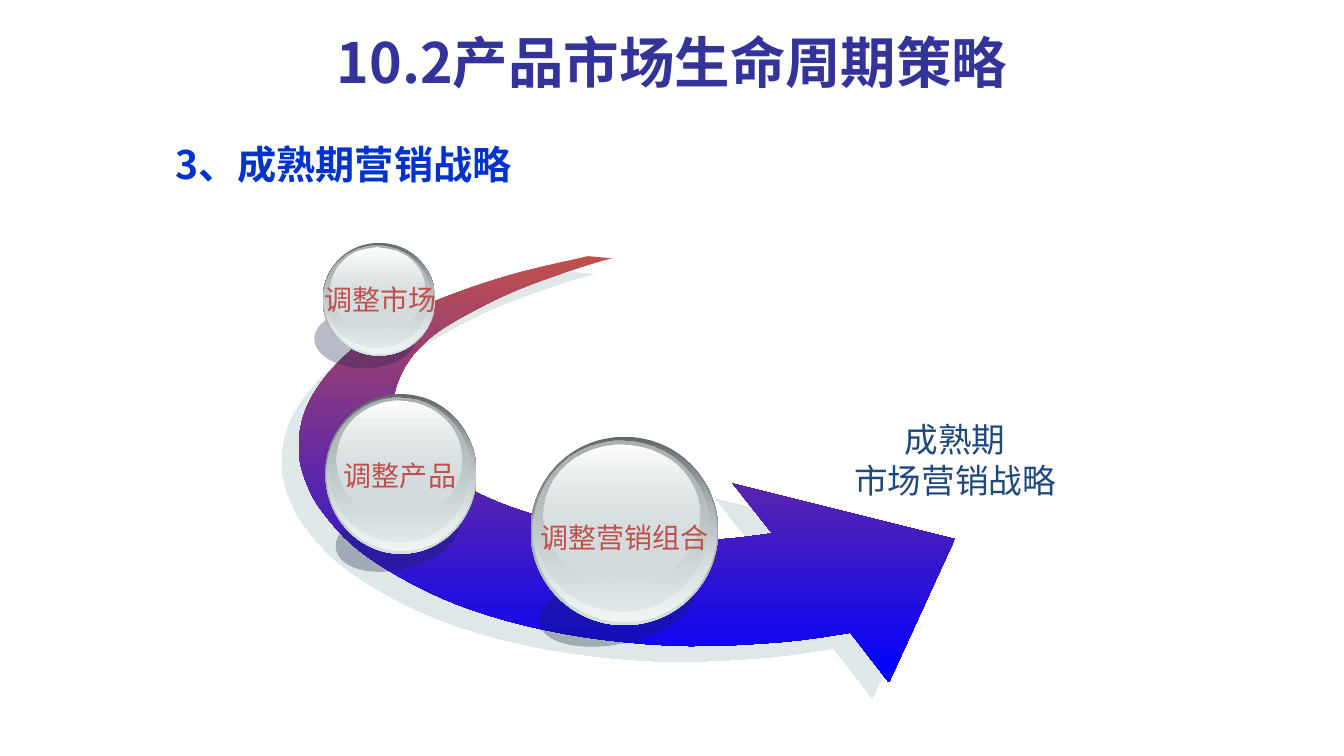
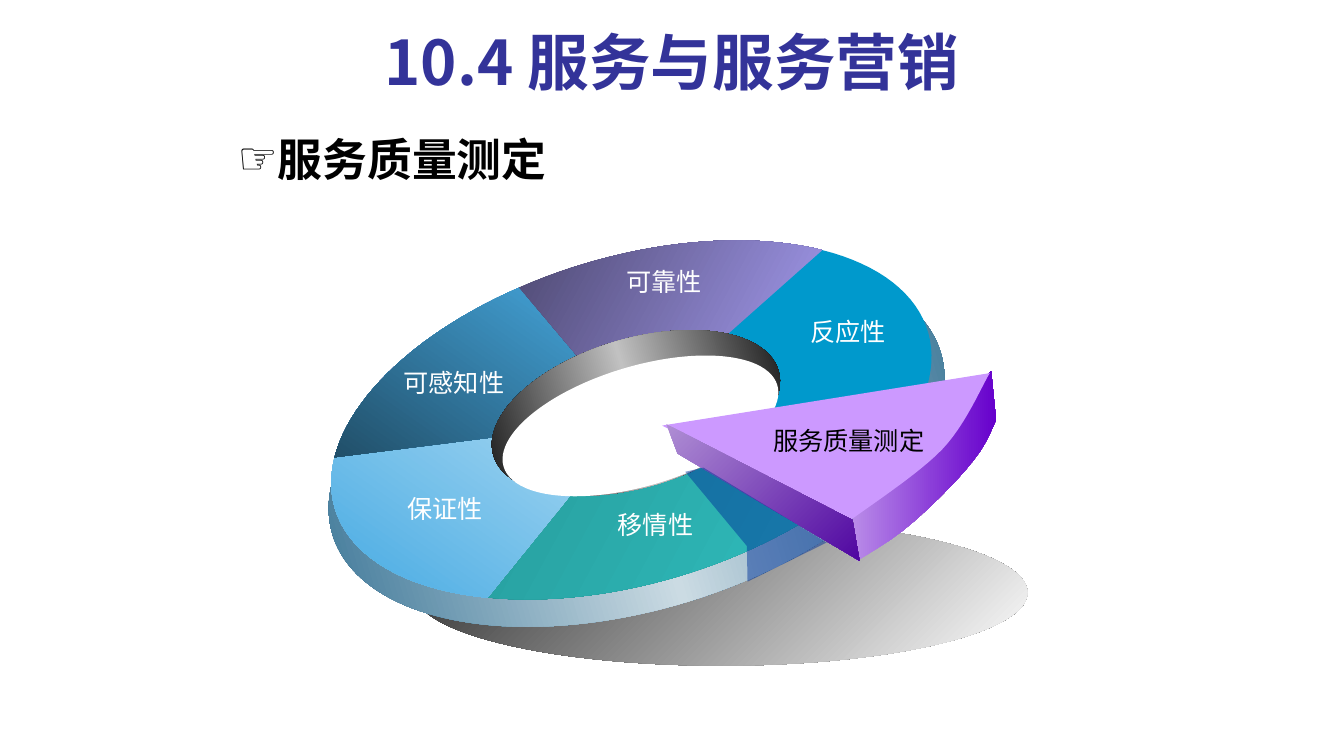
from dataclasses import dataclass
from math import cos, radians, sin

from lxml import etree
from pptx import Presentation
from pptx.dml.color import RGBColor
from pptx.enum.shapes import MSO_SHAPE
from pptx.enum.text import MSO_ANCHOR, PP_ALIGN
from pptx.oxml.ns import qn
from pptx.util import Pt

CENTER, LEFT = PP_ALIGN.CENTER, PP_ALIGN.LEFT
TOP, MIDDLE = MSO_ANCHOR.TOP, MSO_ANCHOR.MIDDLE
OVAL = MSO_SHAPE.OVAL


@dataclass(frozen=True)
class Theme:
    title: str = "333399"
    heading: str = "0033CC"
    black: str = "000000"
    white: str = "FFFFFF"
    red: str = "C0504D"
    blue: str = "0000FF"
    navy: str = "1F497D"
    shade: str = "0F2145"
    arrow_shadow: str = "C1D1D3"
    glass: str = "D6E1E2"
    glass_dark: str = "636869"
    glass_mid: str = "AAB2B3"
    glass_light: str = "F1F5F5"
    floor: str = "292929"
    steel: str = "29698D"
    steel_light: str = "CBDBE3"
    silver: str = "C1C1C1"
    teal: str = "208282"
    teal_light: str = "33CCCC"
    sky: str = "47ABE3"
    sky_light: str = "ABD9F2"
    sky_dark: str = "214F69"
    violet: str = "4F4A73"
    violet_light: str = "AAA0F8"
    cyan: str = "0099CC"
    lilac: str = "CC99FF"
    wall_light: str = "B98BE8"
    wall_dark: str = "6600CC"
    cut_light: str = "AF8ED4"
    cut_dark: str = "5007A1"
    shard: str = "003399"
    title_font: str = "Noto Sans CJK JP"
    body_font: str = "Noto Sans CJK SC"
    label_font: str = "Arial"
    title_size: float = 44
    long_title_size: float = 39.6
    bullet_size: float = 32
    heading_size: float = 28
    note_size: float = 24
    sphere_size: float = 20
    wedge_size: float = 18


T = Theme()


def child(parent, tag, **attrs):
    el = etree.SubElement(parent, qn(tag))
    for key, value in attrs.items():
        el.set(key, str(value))
    return el


def add_color(parent, color, alpha=100):
    clr = child(parent, "a:srgbClr", val=color)
    if alpha < 100:
        child(clr, "a:alpha", val=alpha * 1000)


def write(p, text, size, color, font, bold=False, ea=None, align=LEFT):
    """Add one formatted run; ea is the East Asian font if it differs."""
    p.alignment = align
    r = p.add_run()
    r.text = text
    r.font.size, r.font.bold, r.font.name = Pt(size), bold, font
    r.font.color.rgb = RGBColor.from_string(color)
    child(r.font._element, "a:ea", typeface=ea or font)


def spline(points, steps=4):
    """Points of a smooth (Catmull-Rom) curve through the given points."""
    ext = [points[0], *points, points[-1]]
    out = [points[0]]
    for a, b, c, d in zip(ext, ext[1:], ext[2:], ext[3:]):
        for i in range(1, steps + 1):
            t = i / steps
            out.append(tuple(
                (2 * q + (r - p) * t + (2 * p - 5 * q + 4 * r - s) * t ** 2
                 + (3 * q - p - 3 * r + s) * t ** 3) / 2
                for p, q, r, s in zip(a, b, c, d)))
    return out


def arc(center, radii, tilt, start, end, steps=24):
    """Points on a tilted ellipse, angles in clockwise degrees."""
    ct, st = cos(radians(tilt)), sin(radians(tilt))
    out = []
    for i in range(steps + 1):
        a = radians(start + (end - start) * i / steps)
        x, y = radii[0] * cos(a), radii[1] * sin(a)
        out.append((center[0] + x * ct - y * st, center[1] + x * st + y * ct))
    return out


class Deck:
    def __init__(self):
        self.prs = Presentation()
        self.prs.slide_width, self.prs.slide_height = Pt(960), Pt(540)
        self.slide = None

    def new_slide(self, title, size=T.title_size):
        self.slide = self.prs.slides.add_slide(self.prs.slide_layouts[1])
        sp = self.slide.shapes.title
        self.place(sp, (48, 9.4, 864, 68.4))
        sp.text_frame.vertical_anchor = MIDDLE
        write(sp.text_frame.paragraphs[0], title, size, T.title,
              T.title_font, bold=True, align=CENTER)

    def place(self, sp, box):
        sp.left, sp.top, sp.width, sp.height = map(Pt, box)

    def body(self, text, box, size, color, indent, bullet=None):
        sp = self.slide.placeholders[1]
        self.place(sp, box)
        tf = sp.text_frame
        tf.vertical_anchor = TOP
        p = tf.paragraphs[0]
        pPr = p._p.get_or_add_pPr()
        pPr.set("marL", str(Pt(indent)))
        pPr.set("indent", str(Pt(-indent if bullet else 0)))
        if bullet:
            child(pPr, "a:buChar", char=bullet)
            p.line_spacing = 0.9
        else:
            child(pPr, "a:buNone")
        p.space_before = Pt(0)
        write(p, text, size, color, T.body_font, bold=True)

    def paint(self, sp, fill, angle=90, alpha=100):
        """Fill with a colour, or with a gradient of (position, colour, alpha)."""
        sp.shadow.inherit = False
        sp.line.fill.background()
        if isinstance(fill, str):
            sp.fill.solid()
            sp.fill.fore_color.rgb = RGBColor.from_string(fill)
            if alpha < 100:
                clr = sp.element.spPr.find(qn("a:solidFill"))[0]
                child(clr, "a:alpha", val=alpha * 1000)
            return sp
        sp.fill.gradient()
        grad = sp.element.spPr.find(qn("a:gradFill"))
        grad.clear()
        grad.set("rotWithShape", "1")
        stops = child(grad, "a:gsLst")
        for pos, *color in fill:
            add_color(child(stops, "a:gs", pos=pos * 1000), *color)
        child(grad, "a:lin", ang=angle * 60000, scaled=0)
        return sp

    def ellipse(self, box, fill, rotation=0, **kw):
        sp = self.slide.shapes.add_shape(OVAL, *map(Pt, box))
        sp.rotation = rotation
        return self.paint(sp, fill, **kw)

    def outline(self, points, fill, **kw):
        pts = [(Pt(x), Pt(y)) for x, y in points]
        fb = self.slide.shapes.build_freeform(*pts[0], scale=1.0)
        fb.add_line_segments(pts[1:], close=True)
        return self.paint(fb.convert_to_shape(), fill, **kw)

    def cast_shadow(self, sp, color, distance, direction, alpha):
        effects = sp.element.spPr.find(qn("a:effectLst"))
        shadow = child(effects, "a:outerShdw", blurRad=0, dist=Pt(distance),
                       dir=direction * 60000, algn="ctr", rotWithShape=0)
        add_color(shadow, color, alpha)

    def label(self, lines, box, size, color, font=T.body_font, wrap=False):
        tf = self.slide.shapes.add_textbox(*map(Pt, box)).text_frame
        tf.word_wrap = wrap
        tf.vertical_anchor = TOP
        for i, line in enumerate(lines):
            p = tf.add_paragraph() if i else tf.paragraphs[0]
            write(p, line, size, color, font, ea=T.body_font, align=CENTER)

    def sphere(self, box, shadow, rotation, text, text_box):
        """Glass ball of four layers, each a fixed share of the outer box."""
        layers = [
            ((0, 0, 1, 1), [(0, T.glass_dark), (100, T.glass)]),
            ((0.01, 0.01, 0.98, 0.97), [(0, T.glass, 0), (100, T.glass_light)]),
            ((0.02, 0.02, 0.93, 0.91), [(0, T.glass_mid), (100, T.glass, 48)]),
            ((0.07, 0.04, 0.83, 0.74), [(0, T.white), (100, T.glass, 38)]),
        ]
        self.ellipse(shadow, T.shade, rotation, alpha=30)
        x, y, w, h = box
        for (dx, dy, sw, sh), fill in layers:
            self.ellipse((x + dx * w, y + dy * h, sw * w, sh * h), fill)
        self.label([text], text_box, T.sphere_size, T.red, T.label_font)


def maturity_slide(deck):
    deck.new_slide("10.2产品市场生命周期策略", T.long_title_size)
    deck.body("3、成熟期营销战略", (96, 96.5, 802, 388), T.heading_size,
              T.heading, indent=22)
    outer_edge = [
        (420, 183), (371.5, 194.5), (330.5, 207.5), (295, 222), (267, 237.5),
        (245.5, 255), (229.5, 273), (219, 291), (214, 309.5), (214, 328),
        (219.5, 346.5), (229.5, 364.5), (252.5, 390), (286, 412.5),
        (327, 432), (376, 447), (431, 457), (493, 461.5), (560, 458.5),
        (607.5, 452)]
    head = [(635, 487.5), (682, 385), (523.5, 345.5)]
    inner_edge = [
        (551.5, 381), (524, 384.5), (496, 386), (467, 384.5), (438.5, 381),
        (410.5, 376), (384, 368.5), (359, 360), (337, 350), (317.5, 338.5),
        (301.5, 326), (290, 312.5), (283, 298), (281.5, 283.5),
        (286, 268.5), (296, 252.5), (313, 237), (338.5, 222), (371, 206.5),
        (413, 191.5), (437, 184.5)]
    arrow = deck.outline(spline(outer_edge) + head + spline(inner_edge),
                         [(0, T.red), (100, T.blue)])
    deck.cast_shadow(arrow, T.arrow_shadow, 16.3, 137, 50)
    deck.label(["成熟期", "市场营销战略"], (567.5, 296, 229.5, 65.5),
               T.note_size, T.navy, T.label_font, wrap=True)
    spheres = [
        ((379, 312, 134, 134.5), (384, 407.5, 113, 52.5), -12,
         "调整营销组合", (379, 368, 134.5, 31)),
        ((232.5, 281.5, 108, 114), (239, 359, 89.5, 48), -13,
         "调整产品", (238.5, 324, 94.5, 31)),
        ((230.5, 173.5, 80.5, 80.5), (224.5, 221, 72, 42), 0,
         "调整市场", (224.5, 198, 94.5, 31)),
    ]
    for sphere in spheres:
        deck.sphere(*sphere)


def service_slide(deck):
    tilt = -16.6
    deck.new_slide("10.4 服务与服务营销")
    deck.body("服务质量测定", (162.5, 94.5, 630, 42.5), T.bullet_size,
              T.black, indent=27, bullet="☞")
    deck.ellipse((296, 371, 438, 104.5), [(0, T.floor), (100, T.white)],
                 angle=45)
    deck.ellipse((228, 198, 453.5, 237.5),
                 [(0, T.steel), (50, T.steel_light), (100, T.steel)],
                 tilt, angle=0)
    deck.ellipse((232.5, 186, 438, 230.5), [(0, T.teal), (100, T.teal_light)],
                 tilt, angle=45)
    hub = (451, 300)
    bounds = [127.6, 197.5, 257, 318.5, 381.5]
    wedges = [
        ([(0, T.sky_light), (100, T.sky)], 125),
        ([(0, T.sky), (100, T.sky_dark)], 125),
        ([(0, T.violet), (100, T.violet_light)], 28),
        (T.cyan, 0),
    ]
    for start, end, (fill, angle) in zip(bounds, bounds[1:], wedges):
        deck.outline([hub] + arc(hub, (221, 116.5), tilt, start, end), fill,
                     angle=angle)
    deck.ellipse((348, 242, 212.5, 106),
                 [(0, T.black), (50, T.silver), (100, T.black)], tilt, angle=0)
    deck.ellipse((355.5, 261.5, 204, 85.5), T.white, tilt)

    wall = spline([(711.5, 300), (700, 322.5), (677.5, 349), (645, 379),
                   (612.5, 400.5)])
    deck.outline([(609, 370), (708, 265)] + wall,
                 [(0, T.wall_light), (100, T.wall_dark)], angle=0)
    slice_edge = spline([(707, 266.5), (673, 321), (605.5, 373)], steps=12)
    deck.outline([(473, 304)] + slice_edge, T.lilac)
    deck.outline([(609, 371.5), (614, 400.5), (484, 324), (476, 303)],
                 [(0, T.cut_light), (100, T.cut_dark)], angle=45)
    labels = [
        ("可感知性", 281, 258.5, 86.5, T.white),
        ("可靠性", 440, 186.5, 68.5, T.white),
        ("反应性", 571.5, 222.5, 68.5, T.white),
        ("服务质量测定", 545, 300, 122.5, T.black),
        ("移情性", 434, 360.5, 68.5, T.white),
        ("保证性", 283.5, 348.5, 68.5, T.white),
    ]
    for text, x, y, w, color in labels:
        deck.label([text], (x, y, w, 29), T.wedge_size, color)
    deck.outline([(489.5, 337), (533.5, 390), (534, 415.5), (590.5, 387.5),
                  (502.5, 334)], T.shard, alpha=49)


def main():
    deck = Deck()
    maturity_slide(deck)
    service_slide(deck)
    deck.prs.save("out.pptx")


if __name__ == "__main__":
    main()
